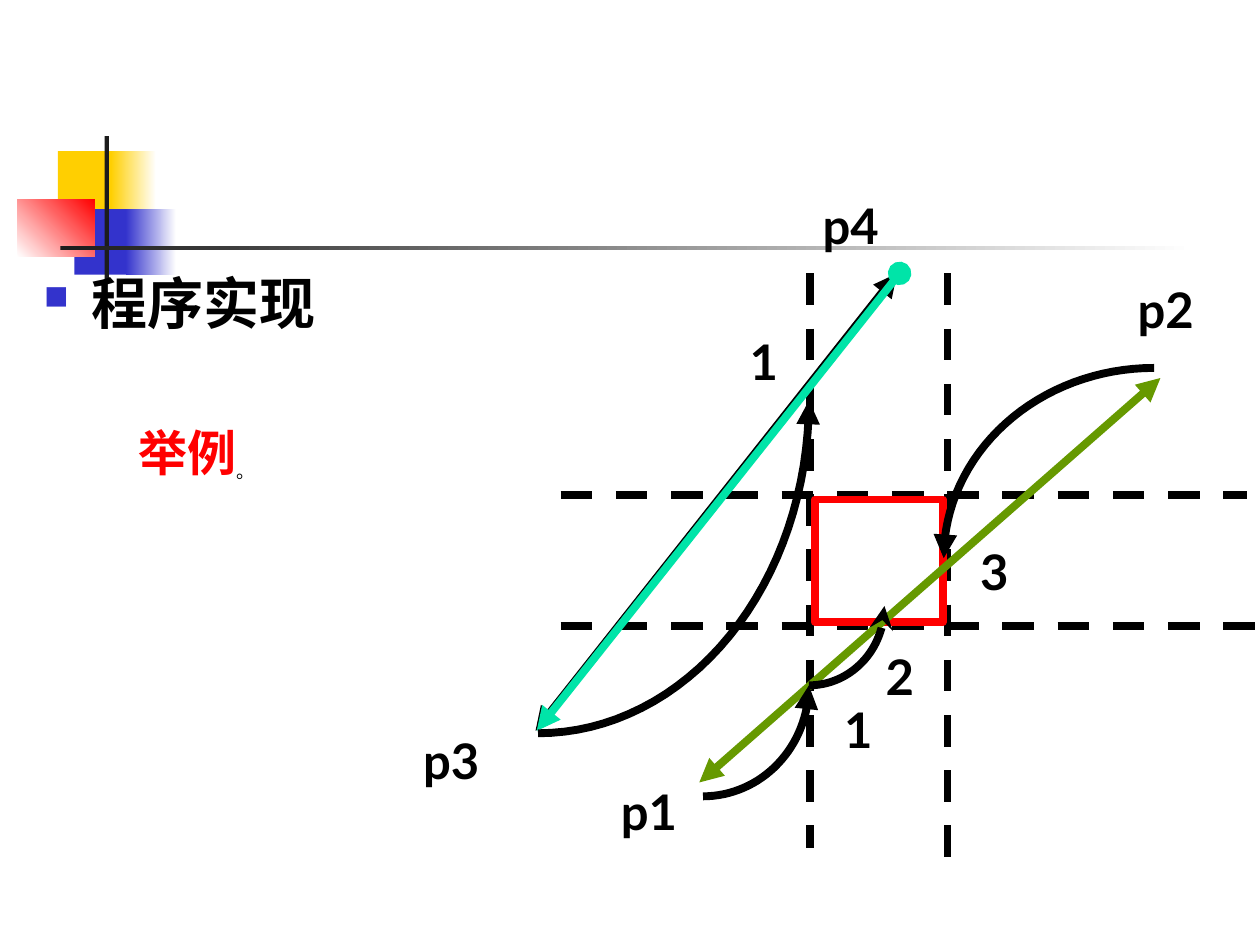
import math
from lxml import etree
from pptx import Presentation
from pptx import util as u
from pptx.dml.color import RGBColor
from pptx.enum import dml, shapes, text
from pptx.oxml import ns

BLACK = RGBColor(0, 0, 0)
WHITE = RGBColor(255, 255, 255)
RED = RGBColor(255, 0, 0)
GOLD = RGBColor(0xFF, 0xCF, 0x01)
BLUE = RGBColor(0x33, 0x33, 0xCC)
INK = RGBColor(0x1C, 0x1C, 0x1C)
GREEN = RGBColor(0x66, 0x99, 0x00)
MINT = RGBColor(0x00, 0xE4, 0xA8)
FONT = "Lato"
COLS, ROWS = 100, 75
WIDE, HIGH = u.Inches(10), u.Inches(7.5)
CELL = WIDE // COLS
THICK = u.Pt(4.5)


def cells(*vals):
    return [round(v * CELL) for v in vals]


def place(box, x, y):
    return box[0] + x, box[1] + y


def child(root, tag, **attrs):
    return etree.SubElement(root, ns.qn(tag), attrs)


def block(slide, box, part, start, end=None, angle=0):
    x, y, w, h = part
    shape = slide.shapes.add_shape(
        shapes.MSO_SHAPE.RECTANGLE, *cells(*place(box, x, y), w, h))
    shape.shadow.inherit = False
    shape.line.fill.background()
    if end is None:
        shape.fill.solid()
        shape.fill.fore_color.rgb = start
        return
    shape.fill.gradient()
    shape.fill.gradient_angle = angle
    for stop, color in zip(shape.fill.gradient_stops, (start, end)):
        stop.color.rgb = color


def stroke(shape, color, head=None, tail=None, dash=False):
    shape.line.color.rgb = color
    shape.line.width = THICK
    if dash:
        shape.line.dash_style = dml.MSO_LINE.DASH
    line = shape.line._get_or_add_ln()
    for tag, kind in (("a:headEnd", head), ("a:tailEnd", tail)):
        if kind:
            child(line, tag, type=kind)


def rule(slide, box, start, end, color, **style):
    line = slide.shapes.add_connector(
        shapes.MSO_CONNECTOR.STRAIGHT,
        *cells(*place(box, *start), *place(box, *end)))
    stroke(line, color, **style)
    child(line._element.spPr, "a:effectLst")


def arc(slide, box, foot, tip, tail):
    steps = 32
    turns = [i * math.pi / 2 / steps for i in range(steps + 1)]
    dots = [cells(*place(box,
                         foot[0] + (tip[0] - foot[0]) * math.sin(t),
                         tip[1] + (foot[1] - tip[1]) * math.cos(t)))
            for t in turns]
    path = slide.shapes.build_freeform(*dots[0])
    path.add_line_segments(dots[1:], close=False)
    curve = path.convert_to_shape()
    curve.shadow.inherit = False
    curve.fill.background()
    stroke(curve, BLACK, tail=tail)


def style(font, size, color, bold=True):
    font.name = FONT
    font.size = u.Pt(size)
    font.bold = bold
    font.color.rgb = color


def label(slide, x, y, w, h, words):
    frame = slide.shapes.add_textbox(*cells(x, y, w, h)).text_frame
    frame.word_wrap = False
    frame.auto_size = text.MSO_AUTO_SIZE.SHAPE_TO_FIT_TEXT
    para = frame.paragraphs[0]
    para.text = words
    return para


def draw_mark(slide, box):
    block(slide, box, (3.2, 1.2, 4.8, 5.2), GOLD)
    block(slide, box, (7.4, 1.2, 3.6, 5.2), GOLD, WHITE)
    block(slide, box, (4.5, 5.8, 4.6, 5.2), BLUE)
    block(slide, box, (8.6, 5.8, 4, 5.2), BLUE, WHITE)
    block(slide, box, (0, 5, 6.1, 4.6), WHITE, RED, 45)
    block(slide, box, (6.9, 0, 0.35, 11.5), INK)
    block(slide, box, (3.4, 8.7, 90, 0.35), INK, WHITE)


def draw_body(slide, box):
    frame = slide.shapes.add_textbox(*cells(*box)).text_frame
    frame.word_wrap = True
    para = frame.paragraphs[0]
    para.text = "程序实现"
    props = para._p.get_or_add_pPr()
    dent = u.Inches(0.38)
    props.set("marL", str(dent))
    props.set("indent", str(-dent))
    child(child(props, "a:buClr"), "a:srgbClr", val=str(BLUE))
    child(props, "a:buSzPct", val="60000")
    child(props, "a:buChar", char="■")
    style(para.font, 32, BLACK)

    para = label(slide, *place(box, 7.5, 12.2), 11.2, 5.8, "举例")
    style(para.runs[0].font, 28, RED)
    stop = para.add_run()
    stop.text = "。"
    style(stop.font, 18, BLACK, False)
    stop.font._element.set("baseline", "-25000")


def draw_clip(slide, box):
    left, right, top, base = 31.8, 42.7, 24.3, 34.7
    for x, end in ((left, 52.3), (right, 53.3)):
        rule(slide, box, (x, 6.7), (x, end), BLACK, dash=True)
    for y, end in ((top, 66.5), (base, 67.5)):
        rule(slide, box, (12, y), (end, y), BLACK, dash=True)

    gap = 0.35
    pane = slide.shapes.add_shape(
        shapes.MSO_SHAPE.RECTANGLE,
        *cells(*place(box, left + gap, top + gap),
               right - left - 2 * gap, base - top - 2 * gap))
    pane.shadow.inherit = False
    pane.fill.background()
    stroke(pane, RED)

    tri = "triangle"
    rule(slide, box, (59.6, 15), (23, 47.1), GREEN, head=tri, tail=tri)
    rule(slide, box, (10, 43), (38.7, 6.7), BLACK, head=tri, tail=tri)
    rule(slide, box, (10.1, 43), (38.9, 6.7), MINT, head=tri, tail="oval")

    for foot, tip, tail in (
            ((23.3, 48.2), (31.7, 39.4), tri),
            ((31.7, 39.4), (37.7, 33.1), "stealth"),
            ((59.1, 14.2), (42.4, 29.3), tri),
            ((10.2, 43.2), (31.7, 16.8), tri)):
        arc(slide, box, foot, tip, tail)

    for words, x, y in (
            ("p1", 15.8, 46.5), ("p2", 56.8, 6.7), ("p3", 0.1, 42.5),
            ("p4", 31.8, 0), ("1", 33.5, 40), ("3", 44.3, 27.5),
            ("2", 36.8, 35.8), ("1", 26, 10.8)):
        wide = 1.7 + 2.5 * len(words)
        para = label(slide, *place(box, x, y), wide, 5.7, words)
        style(para.font, 28, BLACK)


def main():
    deck = Presentation()
    deck.slide_width, deck.slide_height = WIDE, HIGH
    slide = deck.slides.add_slide(deck.slide_layouts[6])
    draw_mark(slide, (1.4, 10.8, 93.4, 11.5))
    draw_body(slide, (2.5, 20.8, 42.5, 47.5))
    draw_clip(slide, (32.5, 15, COLS - 32.5, ROWS - 15))
    deck.save("out.pptx")


if __name__ == "__main__":
    main()
